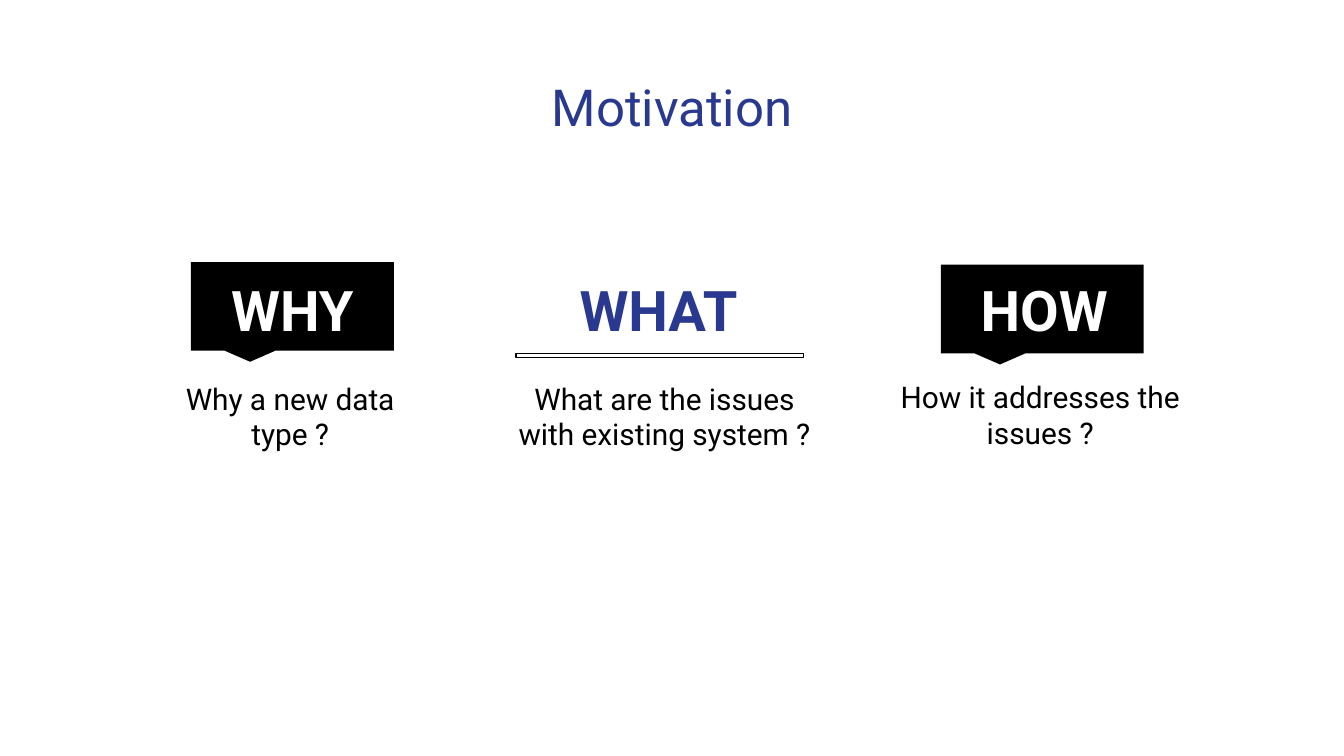
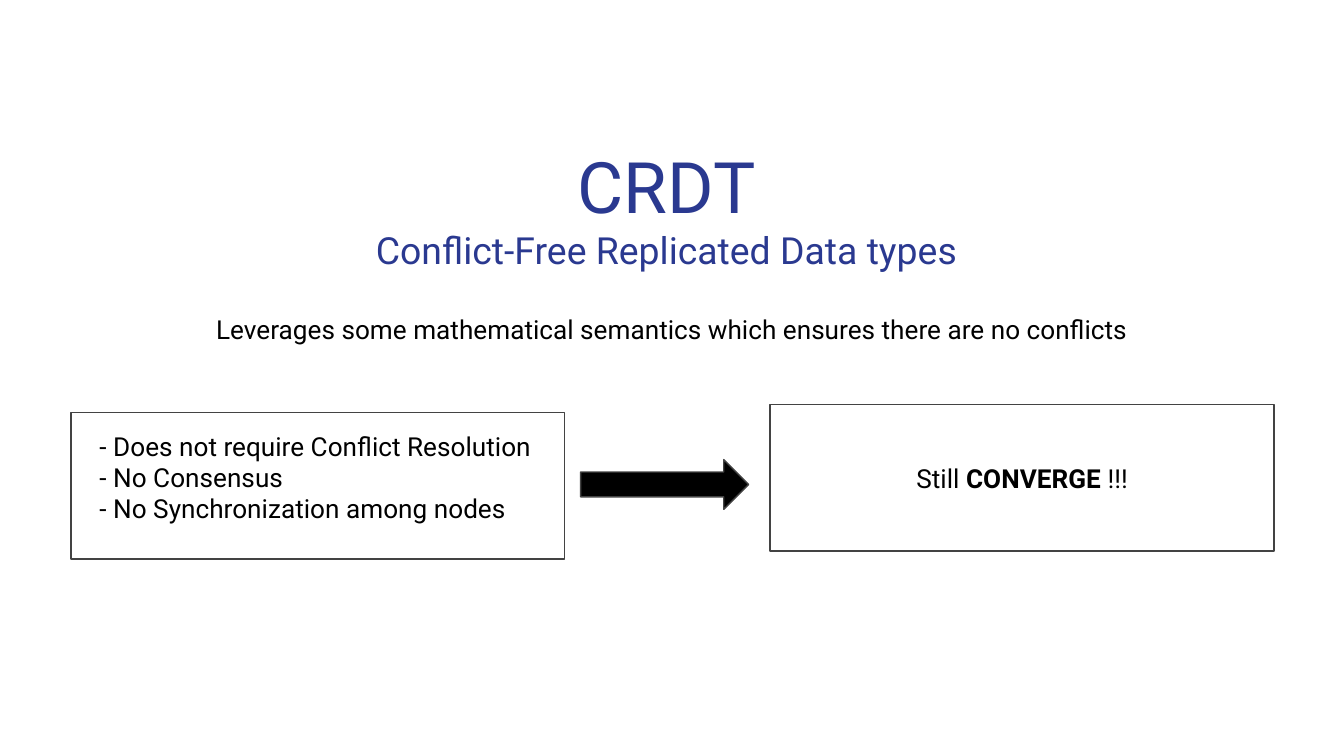
from pptx import Presentation
from pptx.dml.color import RGBColor
from pptx.enum.shapes import MSO_SHAPE as SHAPE
from pptx.enum.text import MSO_ANCHOR as ANCHOR, MSO_AUTO_SIZE as AUTOSIZE, PP_ALIGN as ALIGN
from pptx.oxml.ns import qn
from pptx.util import Inches, Pt

FONT = "Roboto"
BLUE = RGBColor(0x2A, 0x39, 0x90)
BLACK = RGBColor(0, 0, 0)
WHITE = RGBColor(255, 255, 255)
GREY = RGBColor(0x43, 0x43, 0x43)

# Content: boxes are (left, top, width, height) in inches
HEAD_TOP, HEAD_H, NOTE_H = 1.95, 0.7, 0.73
CALLOUT_SIZE = 1.51, 0.66
COLUMNS = [
    {"head": "WHY", "head_x": (1.56, 1.23), "callout": (1.42, 1.95),
     "note": "Why a new data type ?", "note_at": (1.06, 2.73, 2.2)},
    {"head": "HOW", "head_x": (6.91, 1.72), "callout": (7, 1.97),
     "note": "How it addresses the issues ?", "note_at": (6.44, 2.72, 2.6)},
    {"head": "WHAT", "head_x": (4.04, 1.72), "rule": (3.84, 2.63, 2.14, 0.03),
     "note": "What are the issues with existing system ?", "note_at": (3.68, 2.73, 2.53)},
]
CRDT_TITLE = [("CRDT", 38), ("Conflict-Free Replicated Data types", 20)]
LEAD = "Leverages some mathematical semantics which ensures there are no conflicts"
FREE_OF = [
    "- Does not require Conflict Resolution",
    "- No Consensus",
    "- No Synchronization among nodes",
]
RESULT = [("Still ", False), ("CONVERGE", True), (" !!!", False)]
BOX_H = 1.09


def place(sp, box):
    sp.left, sp.top, sp.width, sp.height = map(Inches, box)


def set_frame(sp, anchor=ANCHOR.TOP):
    tf = sp.text_frame
    tf.word_wrap = True
    tf.auto_size = AUTOSIZE.NONE
    tf.vertical_anchor = anchor
    tf.margin_left = tf.margin_top = tf.margin_right = tf.margin_bottom = Inches(0.1)
    return tf


def style(p, size, color=BLACK, bold=None, align=ALIGN.CENTER):
    p.alignment = align
    p.space_before = Pt(0)
    f = p.font
    f.name, f.size, f.bold = FONT, Pt(size), bold
    f.color.rgb = color


def add_text(s, box, text, size, color=BLACK, bold=None):
    tf = set_frame(s.shapes.add_textbox(*map(Inches, box)))
    tf.text = text
    style(tf.paragraphs[0], size, color, bold)


def add_shape(s, kind, box, fill=None, line=None):
    sp = s.shapes.add_shape(kind, *map(Inches, box))
    sp.shadow.inherit = False
    if fill is None:
        sp.fill.background()
    else:
        sp.fill.solid()
        sp.fill.fore_color.rgb = fill
    if line is None:
        sp.line.fill.background()
    else:
        sp.line.color.rgb = line
        sp.line.width = Pt(0.75)
    return sp


def set_title(s, box, lines):
    place(s.shapes.title, box)
    p = set_frame(s.shapes.title).paragraphs[0]
    style(p, lines[0][1], BLUE)
    for i, (text, size) in enumerate(lines):
        if i:
            p.add_line_break()
        r = p.add_run()
        r.text = text
        r.font.size = Pt(size)


def set_list(sp, box, items):
    place(sp, box)
    tf = set_frame(sp)
    tf.text = "\n".join(items)
    for p in tf.paragraphs:
        style(p, 14, align=ALIGN.LEFT)
        # The dashes are typed, so the template's bullet and indent go
        pPr = p._p.get_or_add_pPr()
        pPr.set("marL", "0")
        pPr.set("indent", "0")
        pPr.insert_element_before(pPr.makeelement(qn("a:buNone"), {}),
                                  "a:tabLst", "a:defRPr", "a:extLst")


def build_motivation(prs):
    s = prs.slides.add_slide(prs.slide_layouts[5])
    set_title(s, (1.08, 0.46, 7.84, 0.66), [("Motivation", 27.3)])
    for col in COLUMNS:
        if "callout" in col:
            sp = add_shape(s, SHAPE.RECTANGULAR_CALLOUT, col["callout"] + CALLOUT_SIZE, BLACK)
            sp.adjustments[0], sp.adjustments[1] = -0.208, 0.625
        x, w = col["head_x"]
        add_text(s, (x, HEAD_TOP, w, HEAD_H), col["head"], 30,
                 WHITE if "callout" in col else BLUE, True)
        add_text(s, col["note_at"] + (NOTE_H,), col["note"], 16)
        if "rule" in col:
            add_shape(s, SHAPE.RECTANGLE, col["rule"], WHITE, BLACK)


def build_crdt(prs):
    s = prs.slides.add_slide(prs.slide_layouts[1])
    set_title(s, (0.3, 0.96, 9.32, 1.27), CRDT_TITLE)
    add_text(s, (0.71, 2.23, 8.58, 0.43), LEAD, 14)

    # Premises, arrow, result
    add_shape(s, SHAPE.RECTANGLE, (0.53, 3.07, 3.67, BOX_H), line=GREY)
    set_list(s.placeholders[1], (0.64, 3.1, 3.43, 0.9), FREE_OF)
    add_shape(s, SHAPE.RIGHT_ARROW, (4.32, 3.42, 1.25, 0.37), BLACK, GREY)
    sp = add_shape(s, SHAPE.RECTANGLE, (5.73, 3.01, 3.75, BOX_H), line=GREY)
    p = set_frame(sp, ANCHOR.MIDDLE).paragraphs[0]
    style(p, 14)
    for text, bold in RESULT:
        r = p.add_run()
        r.text = text
        r.font.bold = bold


def main():
    prs = Presentation()
    # Widescreen, 16:9
    prs.slide_width = Inches(10)
    prs.slide_height = prs.slide_width * 9 // 16
    build_motivation(prs)
    build_crdt(prs)
    prs.save("out.pptx")


if __name__ == "__main__":
    main()
